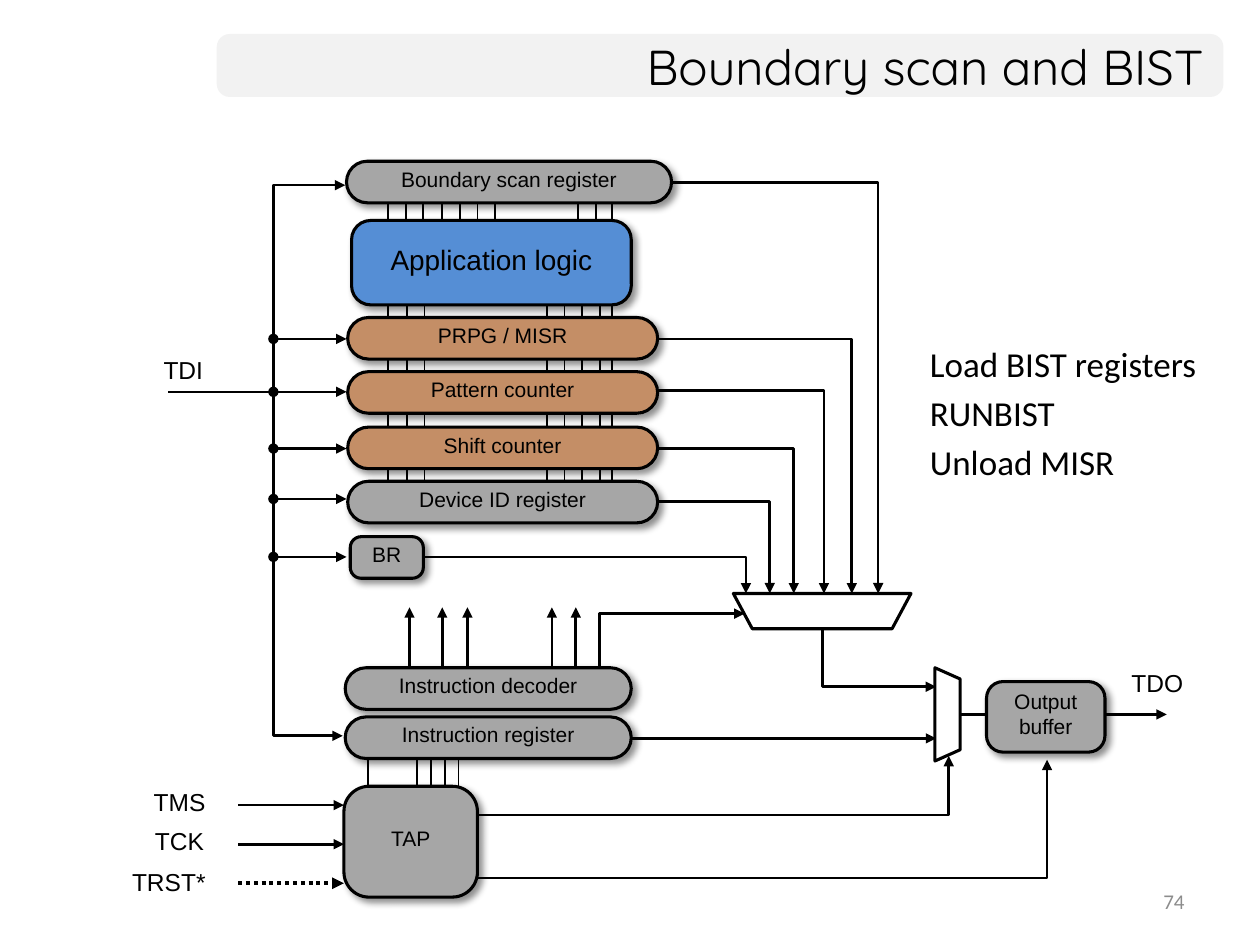
"""Build the slide that shows boundary scan registers combined with BIST."""
from dataclasses import dataclass
from typing import Optional

from lxml.etree import SubElement
from pptx import Presentation
from pptx.dml.color import RGBColor
from pptx.enum.dml import MSO_LINE
from pptx.enum.shapes import MSO_CONNECTOR, MSO_SHAPE as Shape
from pptx.enum.text import MSO_ANCHOR as Anchor, PP_ALIGN as Align
from pptx.oxml.ns import qn
from pptx.util import Pt

PX = 9144
BLACK = RGBColor(0x00, 0x00, 0x00)
WHITE = RGBColor(0xFF, 0xFF, 0xFF)
GRAY = RGBColor(0xA6, 0xA6, 0xA6)
BLUE = RGBColor(0x55, 0x8E, 0xD5)
BROWN = RGBColor(0xC4, 0x8E, 0x66)
BANNER = RGBColor(0xF2, 0xF2, 0xF2)
PAGE_GRAY = RGBColor(0x8C, 0x8C, 0x8C)


@dataclass(frozen=True)
class Area:
    left: int
    top: int
    width: int
    height: int

    def emu(self) -> tuple[int, ...]:
        return tuple(n * PX for n in (self.left, self.top, self.width, self.height))


@dataclass(frozen=True)
class Block:
    text: str
    area: Area
    fill: RGBColor = GRAY
    rounding: float = 0.5
    size: int = 12


@dataclass(frozen=True)
class Wire:
    points: tuple[tuple[int, int], ...]
    head: Optional[str] = None
    tail: Optional[str] = "triangle"
    width: float = 1.5
    dotted: bool = False


@dataclass(frozen=True)
class Bus:
    columns: tuple[int, ...]
    top: int
    bottom: int


@dataclass(frozen=True)
class Mux:
    area: Area
    inset: float
    rotation: int


@dataclass(frozen=True)
class Label:
    lines: tuple[str, ...]
    area: Area
    size: int = 14
    font: str = "Arial"
    color: RGBColor = BLACK
    align: Align = Align.CENTER
    anchor: Anchor = Anchor.MIDDLE
    wrap: bool = True
    margin: int = 10
    gap: int = 0


MUX_TOP, RAIL = 471, 217
REGISTER_LEFT, REGISTER_WIDTH, ROW = 276, 246, 33

BLOCKS = [
    Block("Boundary scan register", Area(275, 128, 258, ROW)),
    Block("Application logic", Area(279, 175, 222, 67), BLUE, 0.227, 16),
    *(Block(text, Area(REGISTER_LEFT, top, REGISTER_WIDTH, ROW), fill)
      for text, top, fill in (("PRPG / MISR", 252, BROWN), ("Pattern counter", 295, BROWN),
                              ("Shift counter", 339, BROWN), ("Device ID register", 382, GRAY))),
    Block("BR", Area(278, 426, 58, ROW), rounding=0.262),
    Block("Instruction decoder", Area(274, 530, 227, ROW)),
    Block("Instruction register", Area(274, 569, 227, ROW)),
    Block("TAP", Area(273, 624, 106, 88), rounding=0.227),
    Block("Output\nbuffer", Area(783, 541, 94, 56), rounding=0.234),
]

BUSES = [
    Bus((322, 336, 351, 365, 379, 393, 459, 473), 156, 241),
    Bus((308, 486), 156, 398),
    Bus((323, 337, 434, 448, 462, 476), 231, 398),
    Bus((292, 331, 342, 353, 364), 593, 678),
]

WIRES = [
    *(Wire(((left, y), (x, y), (x, MUX_TOP))) for left, y, x in (
        (487, 145, 697), (487, 269, 676), (498, 310, 654),
        (474, 356, 630), (471, 398, 611), (311, 442, 592))),
    *(Wire(((RAIL, y), (275, y)), head="oval") for y in (269, 311, 356, 396, 442)),
    Wire(((272, 584), (RAIL, 584), (RAIL, 147), (274, 147)), head="triangle"),
    Wire(((RAIL, 311), (133, 311)), tail=None),
    *(Wire(((x, 542), (x, 482))) for x in (325, 351, 371, 438, 457)),
    Wire(((476, 536), (476, 487), (591, 487))),
    Wire(((653, 490), (653, 545), (743, 545))),
    Wire(((455, 586), (743, 586))),
    Wire(((753, 567), (926, 567))),
    Wire(((345, 647), (753, 647), (753, 600))),
    Wire(((346, 697), (831, 697), (831, 603))),
    *(Wire(((189, y), (273, y))) for y in (639, 670)),
    Wire(((189, 701), (273, 701)), width=2.25, dotted=True),
]

MUXES = [
    Mux(Area(582, MUX_TOP, 141, 28), 0.536, 180),
    Mux(Area(715, 557, 74, 20), 0.446, 90),
]

LABELS = [
    Label(("Boundary scan and BIST",), Area(172, 27, 793, 50), 28, "Quicksand", align=Align.RIGHT),
    *(Label((text,), Area(left, top, width, 33), wrap=False, margin=0)
      for text, left, top, width in (
        ("TDI", 120, 277, 51), ("TMS", 112, 620, 61), ("TCK", 112, 651, 61),
        ("TRST*", 95, 683, 78), ("TDO", 888, 525, 61))),
    Label(("Load BIST registers", "RUNBIST", "Unload MISR"), Area(729, 267, 237, 143), 20,
          "Calibri", align=Align.LEFT, anchor=Anchor.TOP, margin=9, gap=4),
    Label(("74",), Area(717, 695, 233, 40), 12, "Calibri", PAGE_GRAY, Align.RIGHT),
]


def draw_wire(shapes, wire: Wire) -> None:
    """Draw a straight wire as a connector and a bent one as an open outline."""
    start, *rest = wire.points
    if len(rest) == 1:
        ends = (n * PX for n in (*start, *rest[0]))
        stroke = shapes.add_connector(MSO_CONNECTOR.STRAIGHT, *ends)
    else:
        builder = shapes.build_freeform(*start, scale=PX)
        builder.add_line_segments(rest, close=False)
        stroke = builder.convert_to_shape()
        stroke.fill.background()
    stroke.line.color.rgb = BLACK
    stroke.line.width = Pt(wire.width)
    if wire.dotted:
        stroke.line.dash_style = MSO_LINE.ROUND_DOT
    properties = stroke._element.spPr
    outline = properties.find(qn("a:ln"))
    for tag, kind in (("a:headEnd", wire.head), ("a:tailEnd", wire.tail)):
        if kind:
            SubElement(outline, qn(tag), type=kind)
    SubElement(properties, qn("a:effectLst"))


def draw_shape(shapes, kind: Shape, area: Area, fill: RGBColor, adjustment: float,
               outlined: bool = True):
    """Draw a filled preset shape without a shadow."""
    shape = shapes.add_shape(kind, *area.emu())
    shape.adjustments[0] = adjustment
    shape.fill.solid()
    shape.fill.fore_color.rgb = fill
    if outlined:
        shape.line.color.rgb = BLACK
        shape.line.width = Pt(1.75)
    else:
        shape.line.fill.background()
    shape.shadow.inherit = False
    return shape


def write_lines(frame, label: Label) -> None:
    """Write one paragraph for each line of the label."""
    frame.word_wrap = label.wrap
    frame.vertical_anchor = label.anchor
    frame.margin_left = frame.margin_right = label.margin * PX
    for index, text in enumerate(label.lines):
        para = frame.add_paragraph() if index else frame.paragraphs[0]
        para.text = text
        para.alignment = label.align
        if index and label.gap:
            para.space_before = Pt(label.gap)
        para.font.name = label.font
        para.font.size = Pt(label.size)
        para.font.color.rgb = label.color


def draw_block(shapes, block: Block) -> None:
    """Draw a rounded block with its caption and a soft shadow."""
    box = draw_shape(shapes, Shape.ROUNDED_RECTANGLE, block.area, block.fill, block.rounding)
    effects = box._element.spPr.find(qn("a:effectLst"))
    shadow = SubElement(effects, qn("a:outerShdw"), blurRad=str(Pt(4)), dist=str(Pt(3)),
                        dir="2700000", algn="tl", rotWithShape="0")
    color = SubElement(shadow, qn("a:srgbClr"), val=str(BLACK))
    SubElement(color, qn("a:alpha"), val="43000")
    frame = box.text_frame
    frame.margin_top, frame.margin_bottom = 5 * PX, 10 * PX
    write_lines(frame, Label((block.text,), block.area, block.size))


def main() -> None:
    """Assemble and save the deck."""
    deck = Presentation()
    deck.slide_width, deck.slide_height = 1000 * PX, 750 * PX
    shapes = deck.slides.add_slide(deck.slide_layouts[6]).shapes
    draw_shape(shapes, Shape.ROUNDED_RECTANGLE, Area(172, 27, 799, 50), BANNER, 0.208, False)
    for bus in BUSES:
        for x in bus.columns:
            draw_wire(shapes, Wire(((x, bus.top), (x, bus.bottom)), tail=None, width=1))
    for wire in WIRES:
        draw_wire(shapes, wire)
    for mux in MUXES:
        draw_shape(shapes, Shape.TRAPEZOID, mux.area, WHITE, mux.inset).rotation = mux.rotation
    for block in BLOCKS:
        draw_block(shapes, block)
    for label in LABELS:
        write_lines(shapes.add_textbox(*label.area.emu()).text_frame, label)
    deck.save("out.pptx")


if __name__ == "__main__":
    main()
